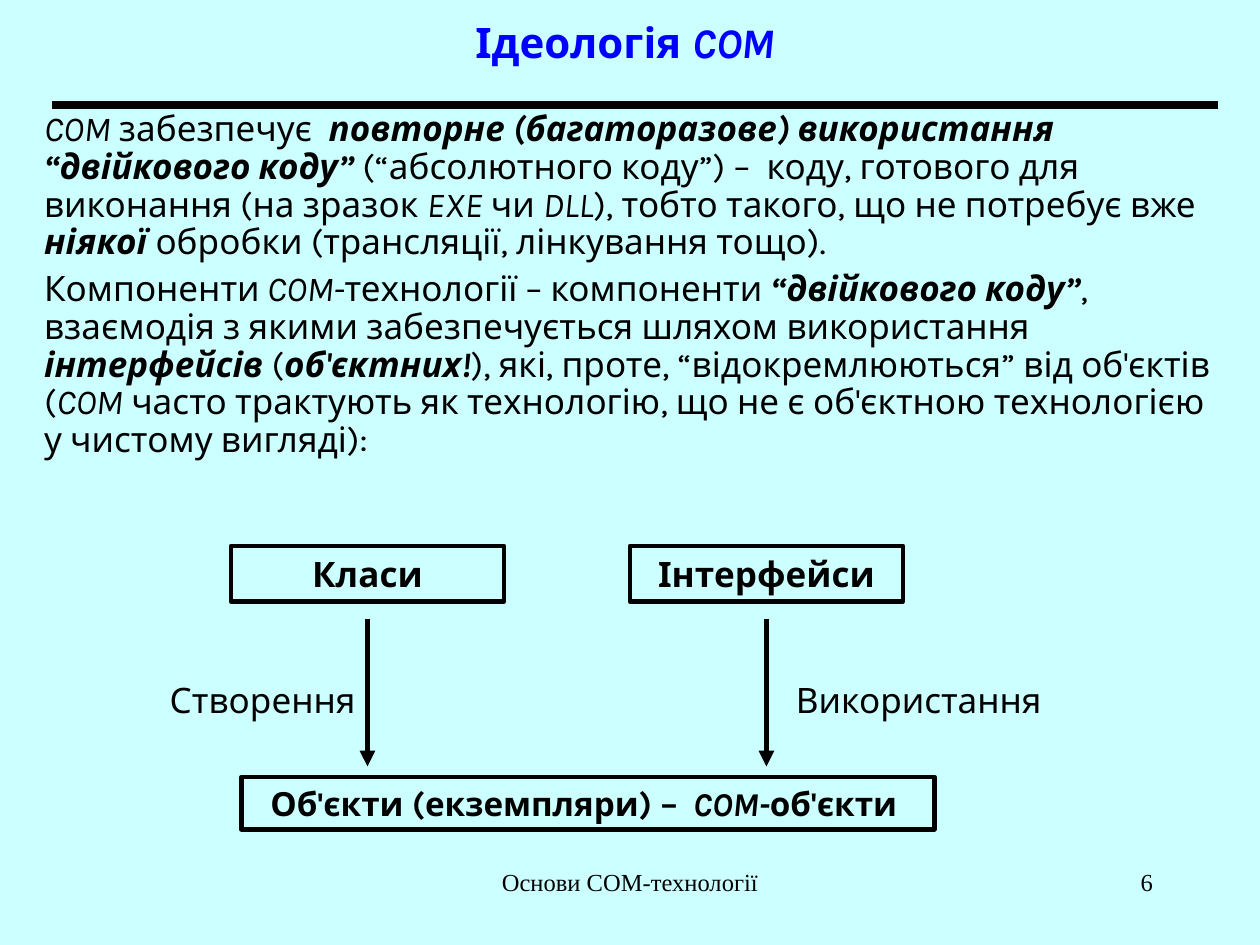
from dataclasses import dataclass
from typing import NamedTuple

from lxml.etree import SubElement
from pptx import Presentation
from pptx.dml.color import RGBColor
from pptx.enum.shapes import MSO_CONNECTOR as Connector, MSO_SHAPE as Preset
from pptx.enum.text import MSO_ANCHOR as Anchor, MSO_AUTO_SIZE as AutoSize, PP_ALIGN as Align
from pptx.oxml.ns import qn
from pptx.util import Emu, Pt

EMU_PER_PX = 7620


def px(length: int) -> Emu:
    return Emu(length * EMU_PER_PX)


@dataclass(frozen=True)
class Theme:
    background: RGBColor = RGBColor(0xCC, 0xFF, 0xFF)
    ink: RGBColor = RGBColor(0, 0, 0)
    title_ink: RGBColor = RGBColor(0, 0, 0xFF)
    font: str = "Karla"
    footer_font: str = "Times New Roman"
    title_size: int = 24
    body_size: int = 20
    objects_size: int = 19
    footer_size: int = 14
    rule_width: float = 4.5
    arrow_width: float = 3
    frame_width: float = 2.5


THEME = Theme()


class Span(NamedTuple):
    text: str
    bold: bool = False
    italic: bool = False


class Area(NamedTuple):
    left: int
    top: int
    width: int
    height: int


class Label(NamedTuple):
    area: Area
    spans: list[Span]
    size: int = THEME.body_size
    framed: bool = False
    align: Align = Align.CENTER
    font: str = THEME.font


class Arrow(NamedTuple):
    start: tuple[int, int]
    end: tuple[int, int]
    width: float
    headed: bool = True


def term(text: str) -> Span:
    return Span(text, italic=True)


def strong(text: str) -> Span:
    return Span(text, bold=True, italic=True)


TITLE = [Span("Ідеологія ", bold=True), strong("COM ")]

BODY = [
    [
        term("COM"),
        Span(" забезпечує  "),
        strong("повторне (багаторазове) використання “двійкового коду”"),
        Span(" (“абсолютного коду”) –  коду, готового для виконання (на зразок "),
        term("EXE"),
        Span(" чи "),
        term("DLL"),
        Span("), тобто такого, що не потребує вже "),
        strong("ніякої"),
        Span(" обробки (трансляції, лінкування тощо)."),
    ],
    [
        Span("Компоненти"),
        term(" COM-"),
        Span("технології – компоненти "),
        strong("“двійкового коду”"),
        Span(", взаємодія з якими забезпечується шляхом використання "),
        strong("інтерфейсів"),
        Span(" ("),
        strong("об'єктних!"),
        Span("), які, проте, “відокремлюються” від об'єктів ("),
        term("COM"),
        Span(" часто трактують як технологію, що не є об'єктною технологією у чистому вигляді):"),
    ],
]

LABELS = [
    Label(Area(120, 640, 260, 53), [Span("Створення")]),
    Label(Area(220, 520, 260, 53), [Span("Класи", bold=True)], framed=True),
    Label(Area(600, 520, 260, 53), [Span("Інтерфейси", bold=True)], framed=True),
    Label(Area(740, 640, 270, 53), [Span("Використання")]),
    Label(
        Area(230, 740, 660, 50),
        [Span("Об'єкти (екземпляри) –", bold=True), strong("  COM-"), Span("об'єкти ", bold=True)],
        THEME.objects_size,
        framed=True,
    ),
    Label(Area(410, 820, 380, 60), [Span("Основи COM-технології")],
          THEME.footer_size, font=THEME.footer_font),
    Label(Area(860, 820, 250, 60), [Span("6")],
          THEME.footer_size, align=Align.RIGHT, font=THEME.footer_font),
]

ARROWS = [
    Arrow((50, 100), (1160, 100), THEME.rule_width, headed=False),
    *(Arrow((x, 590), (x, 730), THEME.arrow_width) for x in (350, 730)),
]


def place(shape, area: Area, anchor: Anchor = Anchor.TOP) -> None:
    shape.left, shape.top, shape.width, shape.height = map(px, area)
    frame = shape.text_frame
    frame.word_wrap = True
    frame.auto_size = AutoSize.NONE
    frame.vertical_anchor = anchor


def write(para, spans: list[Span], size: int, color: RGBColor = THEME.ink,
          font: str = THEME.font) -> None:
    for span in spans:
        run = para.add_run()
        run.text = span.text
        run.font.name = font
        run.font.size = Pt(size)
        run.font.bold = span.bold
        run.font.italic = span.italic
        run.font.color.rgb = color


def fill_title(title) -> None:
    place(title, Area(90, 0, 1020, 80), Anchor.MIDDLE)
    para = title.text_frame.paragraphs[0]
    para.alignment = Align.CENTER
    write(para, TITLE, THEME.title_size, THEME.title_ink)


def fill_body(body) -> None:
    place(body, Area(30, 100, 1140, 720))
    frame = body.text_frame
    for index, spans in enumerate(BODY):
        para = frame.add_paragraph() if index else frame.paragraphs[0]
        properties = para._p.get_or_add_pPr()
        properties.set("marL", "0")
        properties.set("indent", "0")
        SubElement(properties, qn("a:buNone"))
        para.line_spacing = 0.9
        para.space_before = Pt(5 if index else 0)
        write(para, spans, THEME.body_size)


def draw_label(page, label: Label) -> None:
    corners = map(px, label.area)
    if label.framed:
        box = page.shapes.add_shape(Preset.RECTANGLE, *corners)
        box.shadow.inherit = False
        box.fill.background()
        box.line.color.rgb = THEME.ink
        box.line.width = Pt(THEME.frame_width)
    else:
        box = page.shapes.add_textbox(*corners)
    place(box, label.area)
    para = box.text_frame.paragraphs[0]
    para.alignment = label.align
    write(para, label.spans, label.size, font=label.font)


def draw_arrow(page, arrow: Arrow) -> None:
    line = page.shapes.add_connector(
        Connector.STRAIGHT, *map(px, arrow.start + arrow.end))
    line.line.color.rgb = THEME.ink
    line.line.width = Pt(arrow.width)
    if arrow.headed:
        SubElement(line.line._get_or_add_ln(), qn("a:tailEnd"), type="triangle")
    SubElement(line._element.spPr, qn("a:effectLst"))


def main() -> None:
    deck = Presentation()
    deck.slide_width, deck.slide_height = px(1200), px(900)
    page = deck.slides.add_slide(deck.slide_layouts[1])
    page.background.fill.solid()
    page.background.fill.fore_color.rgb = THEME.background
    fill_title(page.shapes.title)
    fill_body(page.placeholders[1])
    for label in LABELS:
        draw_label(page, label)
    for arrow in ARROWS:
        draw_arrow(page, arrow)
    deck.save("out.pptx")


if __name__ == "__main__":
    main()
